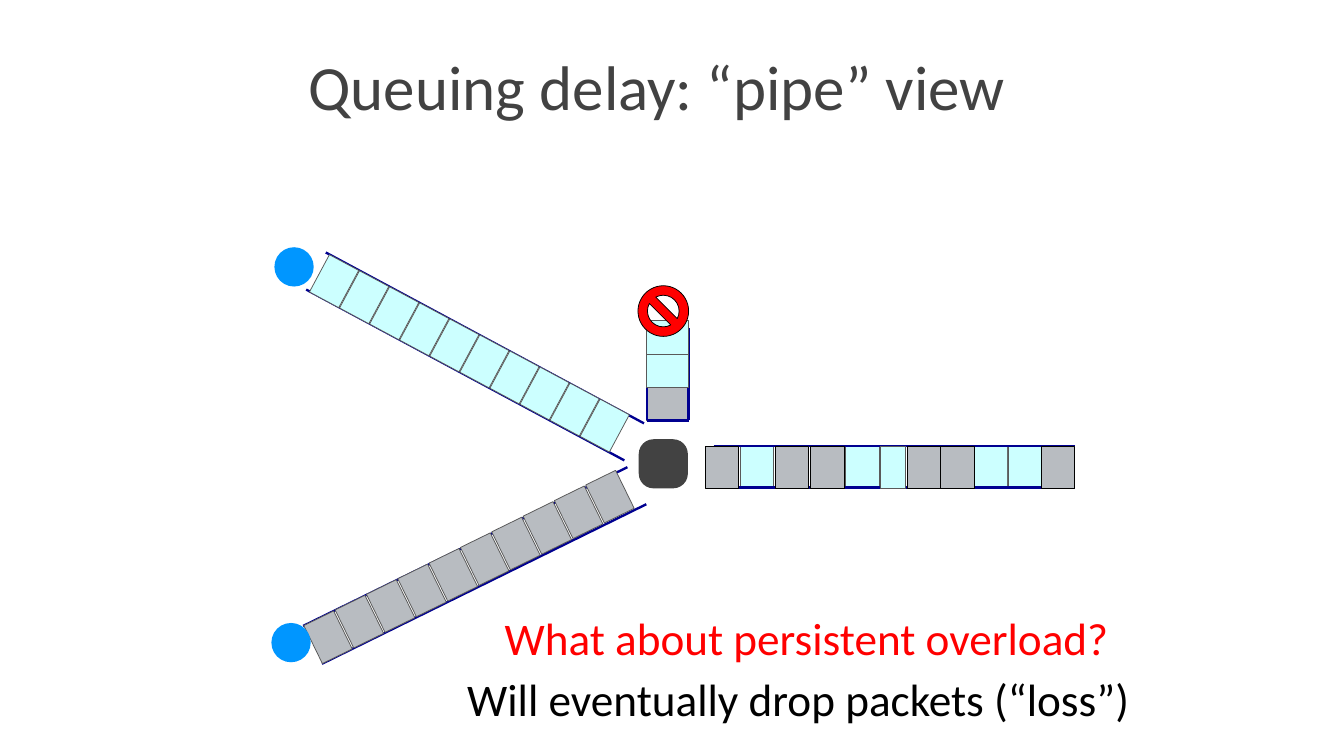
from lxml import etree
from pptx import Presentation
from pptx import util as u
from pptx.dml.color import RGBColor
from pptx.enum import shapes, text

WIDE, HIGH = 17.78, 10
CYAN, GRAY, NAVY, EDGE = "CCFFFF", "B8BCC1", "000090", "595959"
BLACK, RED, BLUE, DARK = "000000", "FF0000", "0096FF", "424242"
LONG, TALL = 0.44, 0.56  # one packet

# words, box, format
TEXTS = [
    ("What about persistent overload?", (5.78, 8, 9.78, 0.86),
     dict(size=43.1, color=RED)),
    ("Will eventually drop packets (“loss”)", (5.67, 8.81, 9.78, 0.86),
     dict(size=43.1, color=BLACK)),
    ("Queuing delay: “pipe” view", (2.78, 0.32, 11.82, 1.62),
     dict(size=60, color=DARK, pad=(0.06, 0.06),
          anchor=text.MSO_ANCHOR.MIDDLE)),
]

# The two incoming pipes: first and last packet, tilt, walls
COUNT = 10
INPUTS = [
    dict(fill=CYAN, first=(4.2, 3.44), last=(7.78, 5.35), turn=28.2,
         walls=[(4.31, 3.34, 8.52, 5.6), (4.05, 3.83, 8.26, 6.09)]),
    dict(fill=GRAY, first=(4.12, 8.15), last=(7.85, 6.29), turn=333.9,
         walls=[(4.01, 8.28, 8.3, 6.18), (4.26, 8.78, 8.55, 6.67)]),
]

# The outgoing pipe: packets in two even runs, with a cut one in between
OUT_TOP, OUT_LEFT, OUT_END = 5.9, 9.44, 14.22
RUNS = [(9.33, 0.465, [GRAY, CYAN, GRAY, GRAY, CYAN]),
        (12, 0.445, [GRAY, GRAY, CYAN, CYAN, GRAY])]
CUT = (11.65, OUT_TOP, 0.33, TALL)

# The queue, from the bottom up
QUEUE = [GRAY, CYAN, CYAN]
QUEUE_LEFT, QUEUE_TOP, QUEUE_END = 8.56, 4.34, 5.56
QUEUE_RIGHT = QUEUE_LEFT + 0.55

HOSTS = [(3.63, 3.27), (3.59, 8.24)]
KIND = shapes.MSO_SHAPE

deck = Presentation()
deck.slide_width, deck.slide_height = u.Inches(WIDE), u.Inches(HIGH)
slide = deck.slides.add_slide(deck.slide_layouts[6])


def inch(values):
    return [u.Inches(v) for v in values]


def write(words, box, size, color, pad=(0.13, 0.07),
          anchor=text.MSO_ANCHOR.TOP):
    frame = slide.shapes.add_textbox(*inch(box)).text_frame
    frame.word_wrap = True
    frame.vertical_anchor = anchor
    frame.margin_left = frame.margin_right = u.Inches(pad[0])
    frame.margin_top = frame.margin_bottom = u.Inches(pad[1])
    para = frame.paragraphs[0]
    para.text = words
    para.alignment = text.PP_ALIGN.CENTER
    para.font.name = "Calibri"
    para.font.size = u.Pt(size)
    para.font.color.rgb = RGBColor.from_string(color)


def shape(kind, box, fill, edge=None, thick=0.75, turn=0):
    item = slide.shapes.add_shape(kind, *inch(box))
    item.shadow.inherit = False
    item.rotation = turn
    item.fill.solid()
    item.fill.fore_color.rgb = RGBColor.from_string(fill)
    if edge:
        item.line.color.rgb = RGBColor.from_string(edge)
        item.line.width = u.Pt(thick)
    else:
        item.line.fill.background()
    return item


def wall(*ends):
    line = slide.shapes.add_connector(shapes.MSO_CONNECTOR.STRAIGHT,
                                      *inch(ends))
    line.line.color.rgb = RGBColor.from_string(NAVY)
    line.line.width = u.Pt(2.25)
    props = line.element.spPr
    space = props.nsmap["a"]
    etree.SubElement(props, f"{{{space}}}effectLst")


def packet(left, top, fill, edge=EDGE, **looks):
    shape(KIND.RECTANGLE, (left, top, LONG, TALL), fill, edge, **looks)


def fill_out(color, edge):
    """Draw the outgoing packets of one colour."""
    for start, step, colors in RUNS:
        for i, tone in enumerate(colors):
            if tone == color:
                packet(start + i * step, OUT_TOP, tone, edge)


for pipe in INPUTS:
    for ends in pipe["walls"]:
        wall(*ends)
    (x, y), (x2, y2) = pipe["first"], pipe["last"]
    for i in range(COUNT):
        part = i / (COUNT - 1)
        packet(x + part * (x2 - x), y + part * (y2 - y), pipe["fill"],
               turn=pipe["turn"])

fill_out(CYAN, EDGE)
for y in (OUT_TOP, OUT_TOP + 0.55):
    wall(OUT_LEFT, y, OUT_END, y)
fill_out(GRAY, BLACK)
shape(KIND.RECTANGLE, CUT, CYAN, EDGE)

for i, tone in enumerate(QUEUE):
    packet(8.61, 5.06 - i * LONG, tone, thick=0.5, turn=90)
    if i == 0:
        wall(QUEUE_LEFT, QUEUE_TOP, QUEUE_LEFT, QUEUE_END)
        wall(QUEUE_RIGHT, QUEUE_TOP, QUEUE_RIGHT, QUEUE_END)
        wall(QUEUE_LEFT, QUEUE_END, QUEUE_RIGHT, QUEUE_END)

shape(KIND.NO_SYMBOL, (8.44, 3.78, 0.67, 0.67), RED, BLACK)
for left, top in HOSTS:
    shape(KIND.OVAL, (left, top, 0.52, 0.52), BLUE)
router = shape(KIND.ROUNDED_RECTANGLE, (8.45, 5.81, 0.65, 0.65), DARK)
router.adjustments[0] = 0.3

for words, box, looks in TEXTS:
    write(words, box, **looks)

deck.save("out.pptx")
